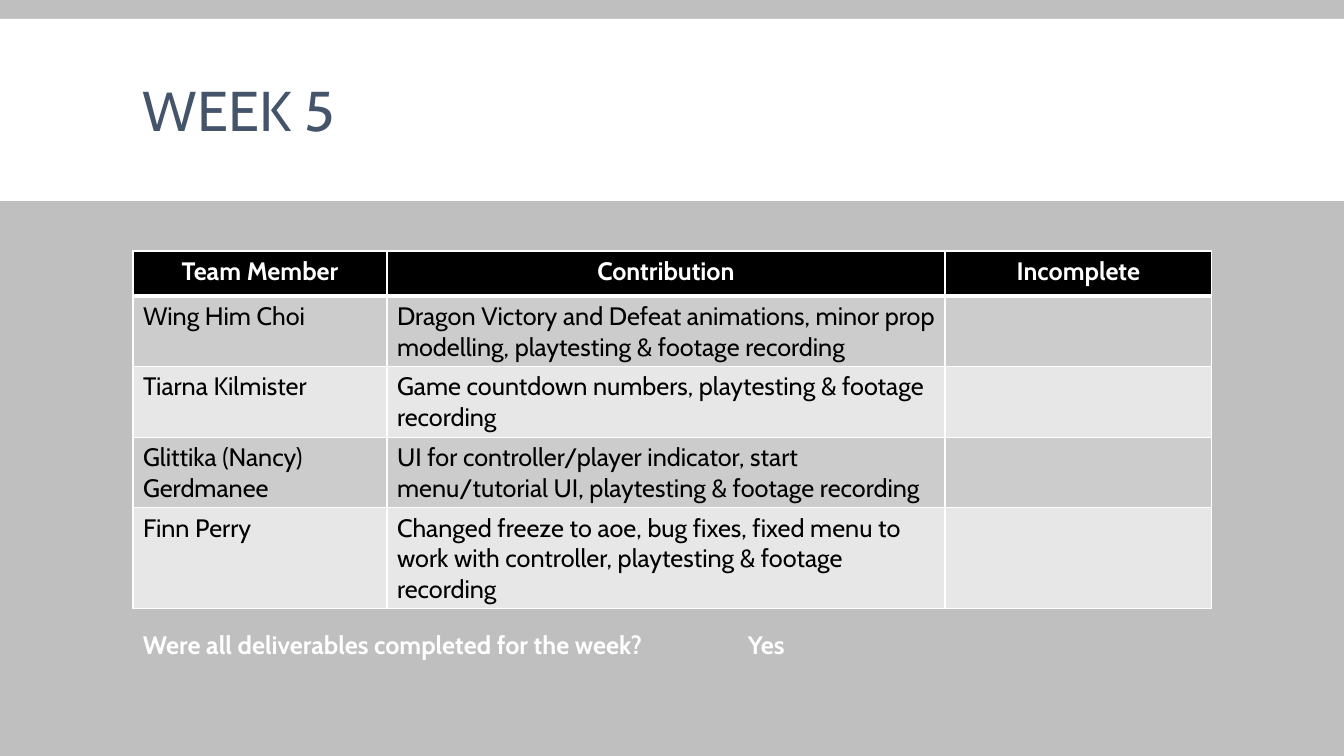
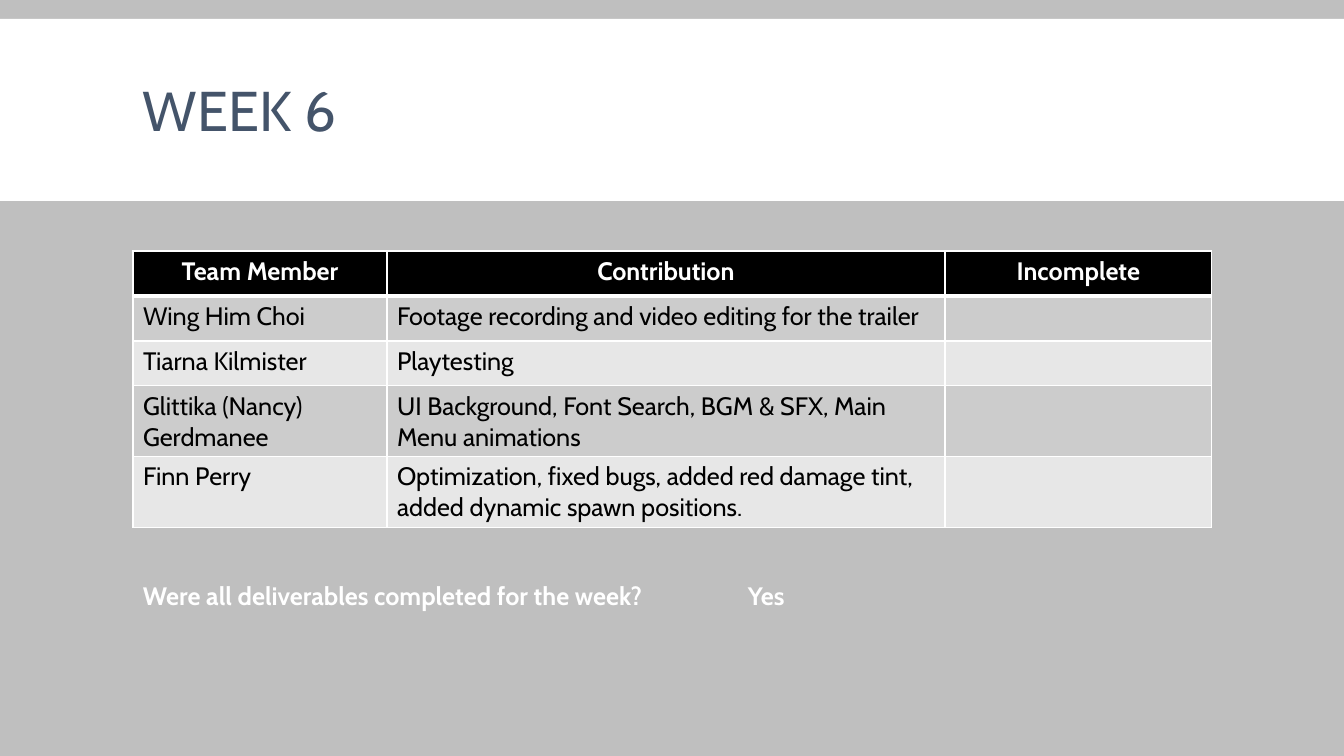
import pptx
import pptx.util
import pptx.dml.color
import pptx.enum.shapes
import pptx.enum.text
import pptx.oxml
import pptx.oxml.ns

RGB = pptx.dml.color.RGBColor
ALIGN = pptx.enum.text.PP_ALIGN
ANCHOR = pptx.enum.text.MSO_ANCHOR

# Shared style
GREY = RGB(0xBF, 0xBF, 0xBF)
WHITE = RGB(0xFF, 0xFF, 0xFF)
BLACK = RGB(0, 0, 0)
SLATE = RGB(0x44, 0x54, 0x6A)
ROW_FILLS = (RGB(0xCC, 0xCC, 0xCC), RGB(0xE7, 0xE7, 0xE7))
FONT = "Cabin"
BODY_SIZE = 18
TITLE_SIZE = 40

# Layout in pixels
PIXELS_PER_INCH = 100.8
PAGE_WIDTH, PAGE_HEIGHT = 1344, 756
LEFT, CONTENT_WIDTH = 133, 1079
TABLE_TOP, ROW_HEIGHT = 251, 45
COLUMN_WIDTHS = (254, 558, 267)
ANSWER_TAB = 605

# Content
HEADINGS = ("Team Member", "Contribution", "Incomplete")
MEMBERS = ("Wing Him Choi", "Tiarna Kilmister",
           "Glittika (Nancy) Gerdmanee", "Finn Perry")
QUESTION = "Were all deliverables completed for the week?"
# Each week: title, contributions in member order, answer, top of the question
WEEKS = (
    ("WEEK 5", (
        "Dragon Victory and Defeat animations, minor prop modelling, "
        "playtesting & footage recording",
        "Game countdown numbers, playtesting & footage recording",
        "UI for controller/player indicator, start menu/tutorial UI, "
        "playtesting & footage recording",
        "Changed freeze to aoe, bug fixes, fixed menu to work with "
        "controller, playtesting & footage recording",
    ), "Yes", 627),
    ("WEEK 6", (
        "Footage recording and video editing for the trailer",
        "Playtesting",
        "UI Background, Font Search, BGM & SFX, Main Menu animations",
        "Optimization, fixed bugs, added red damage tint, "
        "added dynamic spawn positions.",
    ), "Yes", 578),
)


def px(pixels):
    return pptx.util.Emu(round(pixels * 914400 / PIXELS_PER_INCH))


def style_text(para, size, color, bold=False):
    for span in para.runs:
        span.font.name = FONT
        span.font.size = pptx.util.Pt(size)
        span.font.bold = bold
        span.font.color.rgb = color


def add_band(page):
    band = page.shapes.add_shape(pptx.enum.shapes.MSO_SHAPE.RECTANGLE,
                                 0, px(19), px(PAGE_WIDTH), px(182))
    band.shadow.inherit = False
    band.fill.solid()
    band.fill.fore_color.rgb = WHITE
    band.line.fill.background()


def add_text(page, text, top, height, size, color, bold, anchor, spacing):
    box = page.shapes.add_textbox(px(LEFT), px(top), px(CONTENT_WIDTH), px(height))
    frame = box.text_frame
    frame.word_wrap = True
    frame.vertical_anchor = anchor
    frame.text = text
    para = frame.paragraphs[0]
    para.line_spacing = spacing
    style_text(para, size, color, bold)
    return para


def add_question(page, answer, top):
    para = add_text(page, f"{QUESTION}\t{answer}", top, 89, BODY_SIZE, WHITE,
                    True, ANCHOR.TOP, 0.95)
    para.space_before = pptx.util.Pt(12)
    para.space_after = pptx.util.Pt(2)
    # The answer lines up on one tab stop
    para._p.get_or_add_pPr().append(pptx.oxml.parse_xml(
        f'<a:tabLst {pptx.oxml.ns.nsdecls("a")}>'
        f'<a:tab pos="{px(ANSWER_TAB)}" algn="l"/></a:tabLst>'))


def set_borders(cell, widths):
    properties = cell._tc.get_or_add_tcPr()
    for side, width in widths.items():
        properties.append(pptx.oxml.parse_xml(
            f'<a:ln{side} {pptx.oxml.ns.nsdecls("a")} w="{pptx.util.Pt(width)}">'
            f'<a:solidFill><a:srgbClr val="{WHITE}"/></a:solidFill></a:ln{side}>'))


def add_contributions(page, contributions):
    rows = [HEADINGS] + [(name, work, "") for name, work in zip(MEMBERS, contributions)]
    table = page.shapes.add_table(
        len(rows), len(HEADINGS), px(LEFT), px(TABLE_TOP),
        px(CONTENT_WIDTH), px(ROW_HEIGHT * len(rows))).table
    for column, width in zip(table.columns, COLUMN_WIDTHS):
        column.width = px(width)
    for row_index, texts in enumerate(rows):
        header = row_index == 0
        for column_index, text in enumerate(texts):
            cell = table.cell(row_index, column_index)
            # A heavier rule separates the header from the members
            set_borders(cell, {"L": 1, "R": 1, "T": 3 if row_index == 1 else 1,
                               "B": 3 if header else 1})
            cell.fill.solid()
            cell.fill.fore_color.rgb = BLACK if header else ROW_FILLS[(row_index - 1) % 2]
            cell.text_frame.text = text
            para = cell.text_frame.paragraphs[0]
            para.alignment = ALIGN.CENTER if header else ALIGN.LEFT
            style_text(para, BODY_SIZE, WHITE if header else BLACK, header)


def main():
    deck = pptx.Presentation()
    deck.slide_width, deck.slide_height = px(PAGE_WIDTH), px(PAGE_HEIGHT)
    background = deck.slide_master.background.fill
    background.solid()
    background.fore_color.rgb = GREY
    for title, contributions, answer, question_top in WEEKS:
        page = deck.slides.add_slide(deck.slide_layouts[6])
        add_band(page)
        add_text(page, title, 31, 166, TITLE_SIZE, SLATE, False, ANCHOR.MIDDLE, 0.85)
        add_contributions(page, contributions)
        add_question(page, answer, question_top)
    deck.save("out.pptx")


main()
